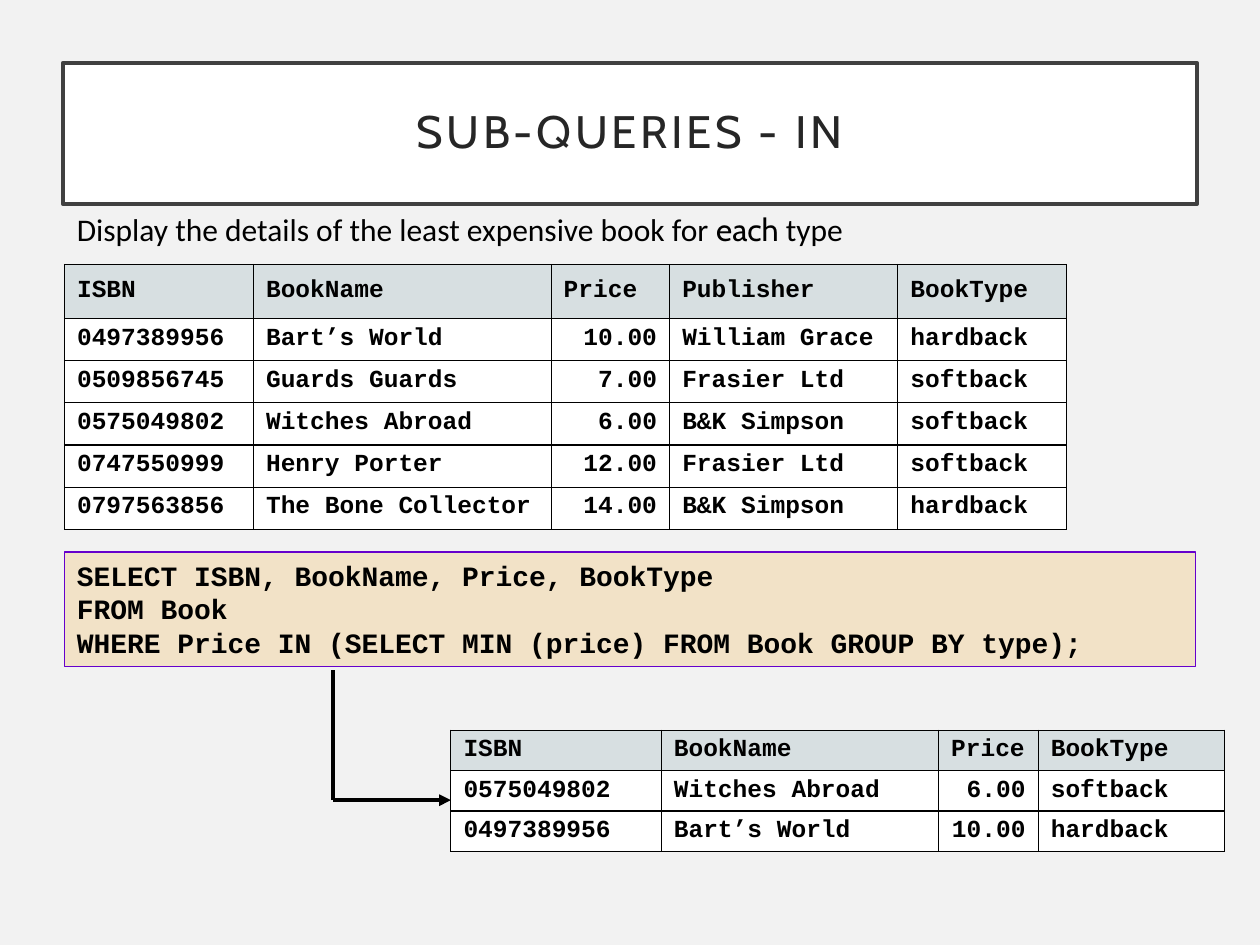
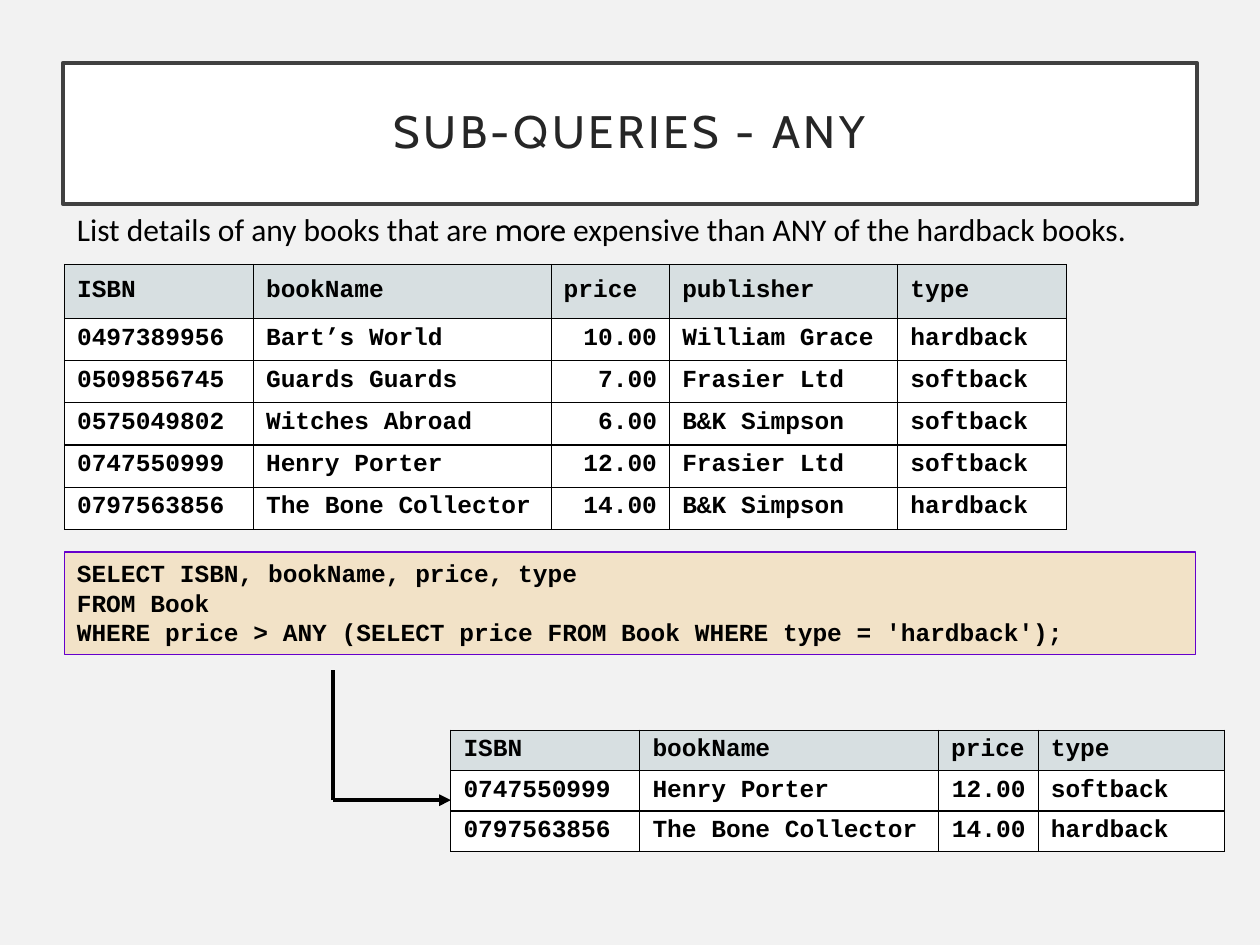
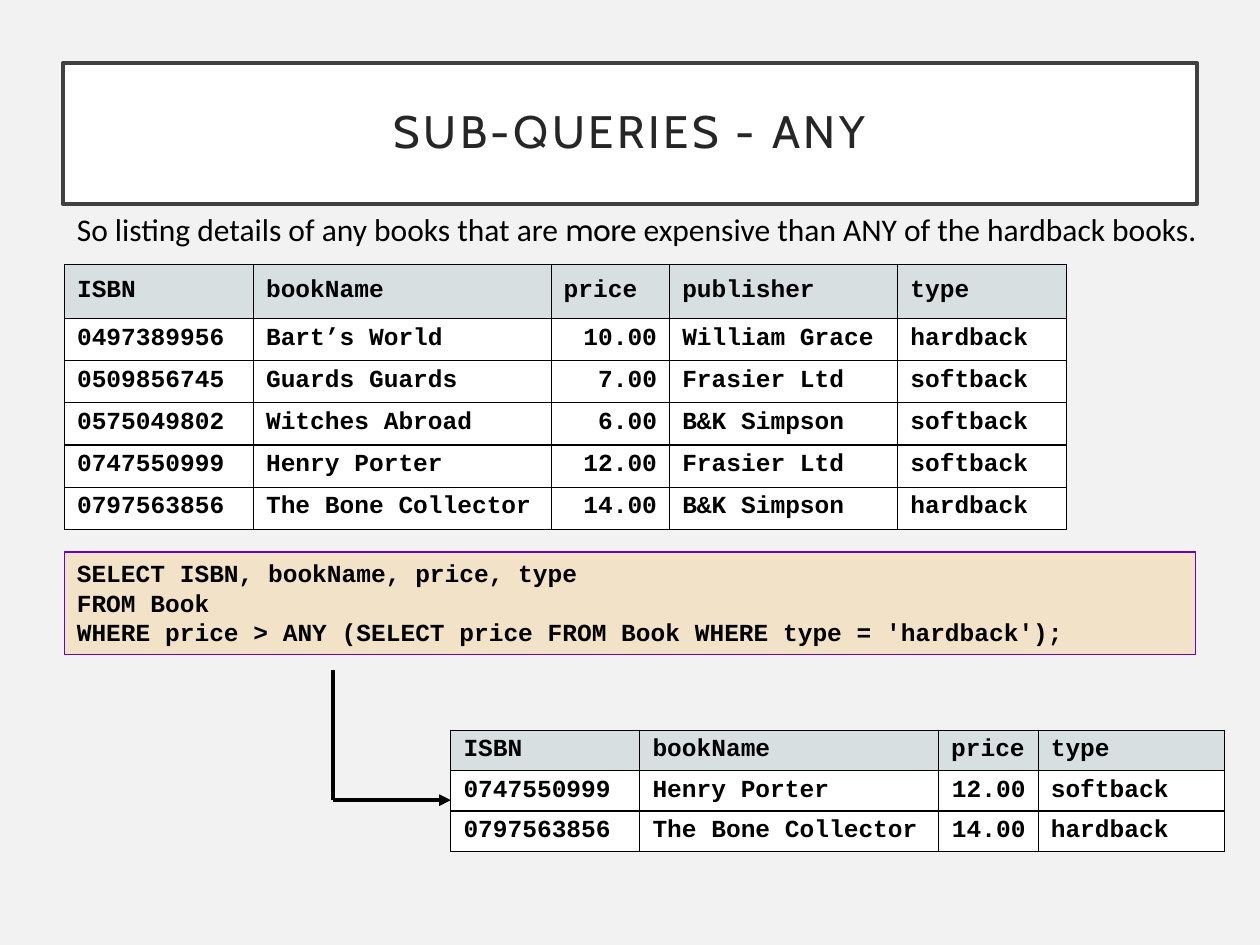
from lxml.etree import SubElement
from pptx import Presentation
from pptx.dml.color import RGBColor
from pptx.enum.shapes import MSO_CONNECTOR, MSO_SHAPE
from pptx.enum.text import MSO_ANCHOR, PP_ALIGN
from pptx.oxml.ns import qn
from pptx.util import Cm, Pt

BACKGROUND = RGBColor(0xF2, 0xF2, 0xF2)
WHITE = RGBColor(0xFF, 0xFF, 0xFF)
BLACK = RGBColor(0x00, 0x00, 0x00)
TITLE_INK = RGBColor(0x26, 0x26, 0x26)
TITLE_BORDER = RGBColor(0x40, 0x40, 0x40)
HEADER_FILL = RGBColor(0xD7, 0xDF, 0xE1)
QUERY_FILL = RGBColor(0xF6, 0xA2, 0x1D)
QUERY_BORDER = RGBColor(0x66, 0x00, 0xCC)

TITLE_FONT = {"name": "Cabin", "size": Pt(26), "bold": False}
PROMPT_FONT = {"name": "Calibri", "size": Pt(18)}
EMPHASIS_FONT = {"name": "Cabin", "size": Pt(18)}
CODE_FONT = {"name": "Courier New", "size": Pt(14), "bold": True}
TITLE_PARAGRAPH = {"alignment": PP_ALIGN.CENTER, "line_spacing": 0.9}
LEFT_PARAGRAPH = {"alignment": PP_ALIGN.LEFT}
PRICE_PARAGRAPH = {"alignment": PP_ALIGN.RIGHT}
TITLE_FRAME = {
    "word_wrap": True,
    "vertical_anchor": MSO_ANCHOR.MIDDLE,
    "margin_left": Cm(0.51),
    "margin_right": Cm(0.51),
    "margin_top": Cm(0.51),
    "margin_bottom": Cm(0.51),
}
TOP_FRAME = {"word_wrap": True, "vertical_anchor": MSO_ANCHOR.TOP}

LEFT = 1.3
RESULT_LEFT = 9.09
ARROW_X, ARROW_TOP, ARROW_Y = 6.71, 13.51, 16.13
BOOK_WIDTHS = (3.81, 6, 2.39, 4.6, 3.4)
PRICE_COLUMN = 2

BOOKS = [
    ("0497389956", "Bart’s World", "10.00", "William Grace", "hardback"),
    ("0509856745", "Guards Guards", "7.00", "Frasier Ltd", "softback"),
    ("0575049802", "Witches Abroad", "6.00", "B&K Simpson", "softback"),
    ("0747550999", "Henry Porter", "12.00", "Frasier Ltd", "softback"),
    ("0797563856", "The Bone Collector", "14.00", "B&K Simpson", "hardback"),
]

IN_LESSON = {
    "title": "SUB-QUERIES - IN",
    "header": ("ISBN", "BookName", "Price", "Publisher", "BookType"),
    "query": (
        "SELECT ISBN, BookName, Price, BookType",
        "FROM Book",
        "WHERE Price IN (SELECT MIN (price) FROM Book GROUP BY type);",
    ),
    "query_size": Pt(16),
    "query_height": 2.31,
    "answers": (2, 0),
    "result_widths": (4.24, 5.59, 2.01, 3.76),
}
ANY_LESSON = {
    "title": "SUB-QUERIES - ANY",
    "header": ("ISBN", "bookName", "price", "publisher", "type"),
    "query": (
        "SELECT ISBN, bookName, price, type",
        "FROM Book",
        "WHERE price > ANY (SELECT price FROM Book WHERE type = 'hardback');",
    ),
    "query_size": Pt(14),
    "query_height": 2.06,
    "answers": (3, 4),
    "result_widths": (3.81, 6.02, 2.01, 3.76),
}
ANY_ENDING = " expensive than ANY of the hardback books."
LESSONS = [
    (IN_LESSON, ("Display the details of the least expensive book for ", "each", " type")),
    (ANY_LESSON, ("List details of any books that are ", "more", ANY_ENDING)),
    (ANY_LESSON, ("So listing details of any books that are ", "more", ANY_ENDING)),
]


class Deck:
    """Hold the shared style and the current slide."""

    def __init__(self):
        self.presentation = Presentation()
        self.style(self.presentation, {"slide_width": Cm(25.4), "slide_height": Cm(19.05)})
        self.slide = None

    def style(self, target, values):
        for attribute, value in values.items():
            setattr(target, attribute, value)

    def new_slide(self):
        self.slide = self.presentation.slides.add_slide(self.presentation.slide_layouts[6])
        fill = self.slide.background.fill
        fill.solid()
        fill.fore_color.rgb = BACKGROUND

    def add_text(self, paragraph, text, font, ink=BLACK):
        run = paragraph.add_run()
        run.text = text
        self.style(run.font, font)
        run.font.color.rgb = ink
        return run

    def box(self, left, top, width, height, fill, border, weight):
        panel = self.slide.shapes.add_shape(
            MSO_SHAPE.RECTANGLE, Cm(left), Cm(top), Cm(width), Cm(height)
        )
        panel.shadow.inherit = False
        panel.fill.solid()
        panel.fill.fore_color.rgb = fill
        panel.line.color.rgb = border
        panel.line.width = Pt(weight)
        return panel

    def title(self, text):
        frame = self.box(1.27, 1.27, 22.86, 2.84, WHITE, TITLE_BORDER, 2.5).text_frame
        self.style(frame, TITLE_FRAME)
        heading = frame.paragraphs[0]
        self.style(heading, TITLE_PARAGRAPH)
        run = self.add_text(heading, text, TITLE_FONT, TITLE_INK)
        run._r.get_or_add_rPr().set("spc", "200")

    def prompt(self, parts):
        frame = self.slide.shapes.add_textbox(Cm(LEFT), Cm(4.11), Cm(23.4), Cm(1.02)).text_frame
        self.style(frame, TOP_FRAME)
        for text, font in zip(parts, (PROMPT_FONT, EMPHASIS_FONT, PROMPT_FONT)):
            self.add_text(frame.paragraphs[0], text, font)

    def query(self, lines, size, height):
        panel = self.box(LEFT, 11.13, 22.8, height, QUERY_FILL, QUERY_BORDER, 0.75)
        color = panel._element.spPr.find(qn("a:solidFill")).find(qn("a:srgbClr"))
        SubElement(color, qn("a:alpha"), val="20000")
        frame = panel.text_frame
        self.style(frame, TOP_FRAME)
        for number, line in enumerate(lines):
            paragraph = frame.add_paragraph() if number else frame.paragraphs[0]
            self.style(paragraph, LEFT_PARAGRAPH)
            self.add_text(paragraph, line, {**CODE_FONT, "size": size})

    def line(self, start, end, arrow=False):
        connector = self.slide.shapes.add_connector(
            MSO_CONNECTOR.STRAIGHT, *(Cm(value) for value in start + end)
        )
        connector.line.color.rgb = BLACK
        connector.line.width = Pt(2.25)
        properties = connector._element.spPr
        if arrow:
            SubElement(properties.find(qn("a:ln")), qn("a:tailEnd"), type="triangle")
        SubElement(properties, qn("a:effectLst"))

    def borders(self, cell):
        properties = cell._tc.get_or_add_tcPr()
        for side in ("a:lnL", "a:lnR", "a:lnT", "a:lnB"):
            edge = SubElement(properties, qn(side), w=str(Pt(0.75)))
            SubElement(SubElement(edge, qn("a:solidFill")), qn("a:srgbClr"), val=str(BLACK))

    def table(self, left, top, widths, heights, rows, body_anchor):
        grid = self.slide.shapes.add_table(
            len(rows), len(widths), Cm(left), Cm(top), Cm(sum(widths)), Cm(sum(heights))
        ).table
        self.style(grid, {"first_row": False, "horz_banding": False})
        for column, width in zip(grid.columns, widths):
            column.width = Cm(width)
        for row, (height, values) in enumerate(zip(heights, rows)):
            grid.rows[row].height = Cm(height)
            for column, value in enumerate(values):
                cell = grid.cell(row, column)
                self.borders(cell)
                cell.fill.solid()
                cell.fill.fore_color.rgb = WHITE if row else HEADER_FILL
                cell.vertical_anchor = body_anchor if row else MSO_ANCHOR.MIDDLE
                paragraph = cell.text_frame.paragraphs[0]
                is_price = row and column == PRICE_COLUMN
                self.style(paragraph, PRICE_PARAGRAPH if is_price else LEFT_PARAGRAPH)
                self.add_text(paragraph, value, CODE_FONT)

    def lesson(self, lesson, prompt):
        self.new_slide()
        self.title(lesson["title"])
        answers = [lesson["header"]] + [BOOKS[number] for number in lesson["answers"]]
        result = [row[:3] + row[4:] for row in answers]
        self.table(
            RESULT_LEFT, 14.72, lesson["result_widths"], [0.81] * 3, result, MSO_ANCHOR.MIDDLE
        )
        self.prompt(prompt)
        self.query(lesson["query"], lesson["query_size"], lesson["query_height"])
        self.line((ARROW_X, ARROW_Y), (RESULT_LEFT, ARROW_Y), arrow=True)
        self.table(
            LEFT, 5.33, BOOK_WIDTHS, [1.09] + [0.85] * 5,
            [lesson["header"]] + BOOKS, MSO_ANCHOR.TOP,
        )
        self.line((ARROW_X, ARROW_Y), (ARROW_X, ARROW_TOP))


def main():
    deck = Deck()
    for lesson, prompt in LESSONS:
        deck.lesson(lesson, prompt)
    deck.presentation.save("out.pptx")


if __name__ == "__main__":
    main()
